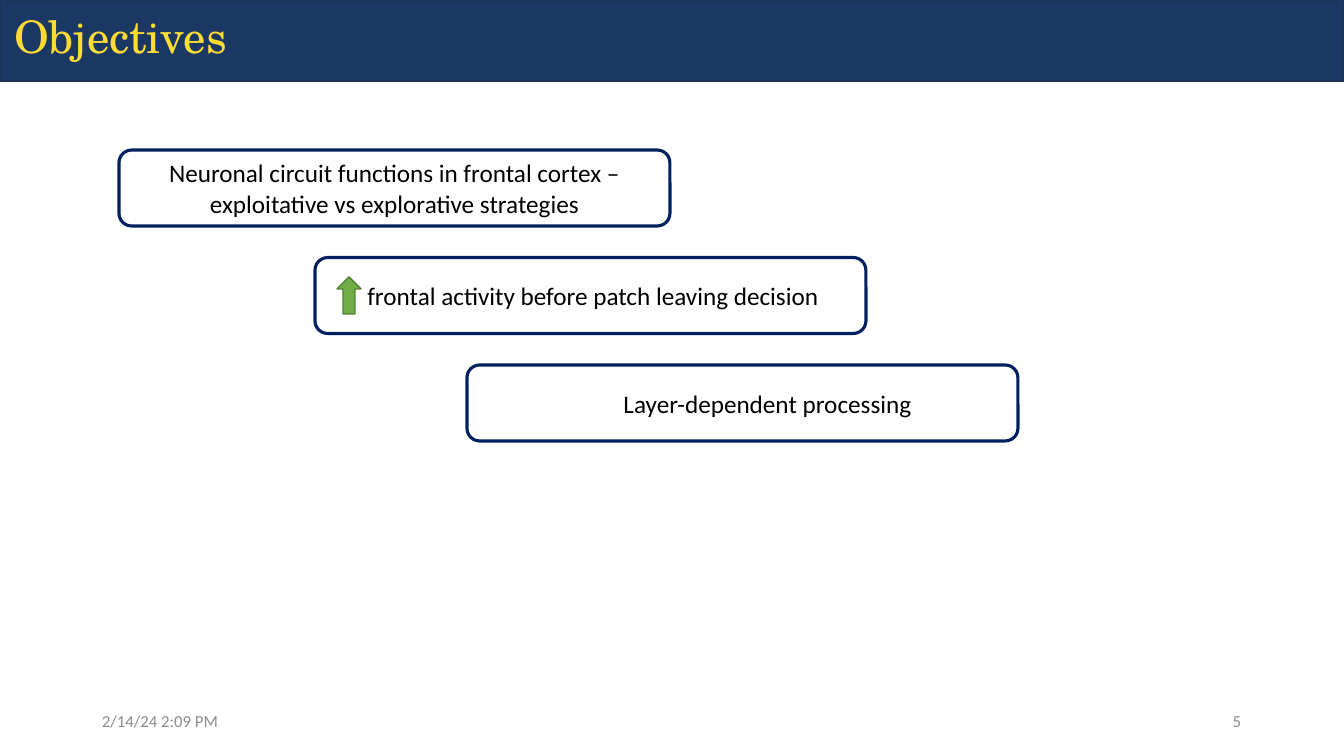
from pptx import Presentation
from pptx import util as u
from pptx.dml.color import RGBColor
from pptx.enum import shapes, text

PX = 914400 / 100.8
COLORS = {
    "band": "1B3764", "band_line": "1E3256", "title": "FCDC34",
    "footer": "8C8C8C", "box_line": "002060", "ink": "000000",
    "arrow": "70AD47", "arrow_line": "538035",
}
INSET = 10
BOX_W, BOX_H = 551, 76
BOX_TOP, BOX_STEP = 150, 107.5


def px(n):
    return u.Emu(round(n * PX))


def rgb(name):
    return RGBColor.from_string(COLORS[name])


def write(sp, words, size, color, font="Calibri", align="LEFT", indent=0, spacing=None):
    tf = sp.text_frame
    tf.word_wrap = True
    tf.vertical_anchor = text.MSO_ANCHOR.MIDDLE
    tf.margin_left = px(INSET + indent)
    p = tf.paragraphs[0]
    p.alignment = getattr(text.PP_ALIGN, align)
    if spacing:
        p.line_spacing = spacing
    r = p.add_run()
    r.text = words
    r.font.size = u.Pt(size)
    r.font.name = font
    r.font.color.rgb = rgb(color)


def add_label(s, x, y, w, h, words, **fmt):
    write(s.shapes.add_textbox(px(x), px(y), px(w), px(h)), words, **fmt)


def add_figure(s, kind, x, y, w, h, line, weight, fill=None):
    sp = s.shapes.add_shape(getattr(shapes.MSO_SHAPE, kind), px(x), px(y), px(w), px(h))
    sp.shadow.inherit = False
    if fill:
        sp.fill.solid()
        sp.fill.fore_color.rgb = rgb(fill)
    else:
        sp.fill.background()
    sp.line.color.rgb = rgb(line)
    sp.line.width = u.Pt(weight)
    return sp


def main():
    prs = Presentation()
    prs.slide_width, prs.slide_height = px(1344), px(756)
    s = prs.slides.add_slide(prs.slide_layouts[6])

    add_figure(s, "RECTANGLE", 0, 0, 1344, 81, "band_line", 1, fill="band")
    add_label(s, 4, -34, 1159, 146, "Objectives", size=32, color="title",
              font="TeX Gyre Schola", spacing=0.9)
    add_label(s, 92, 701, 302, 40, "2/14/24 2:09 PM", size=12, color="footer")
    add_label(s, 949, 701, 302, 40, "5", size=12, color="footer", align="RIGHT")

    objectives = [
        (119, 0, "Neuronal circuit functions in frontal cortex – exploitative vs explorative strategies"),
        (315, 5, "frontal activity before patch leaving decision"),
        (467, 50, "Layer-dependent processing"),
    ]
    for i, (x, indent, words) in enumerate(objectives):
        box = add_figure(s, "ROUNDED_RECTANGLE", x, BOX_TOP + i * BOX_STEP,
                         BOX_W, BOX_H, "box_line", 2.25)
        write(box, words, size=18, color="ink", align="CENTER", indent=indent)
    add_figure(s, "UP_ARROW", 337, 277, 24, 37, "arrow_line", 1, fill="arrow")

    prs.save("out.pptx")


if __name__ == "__main__":
    main()
